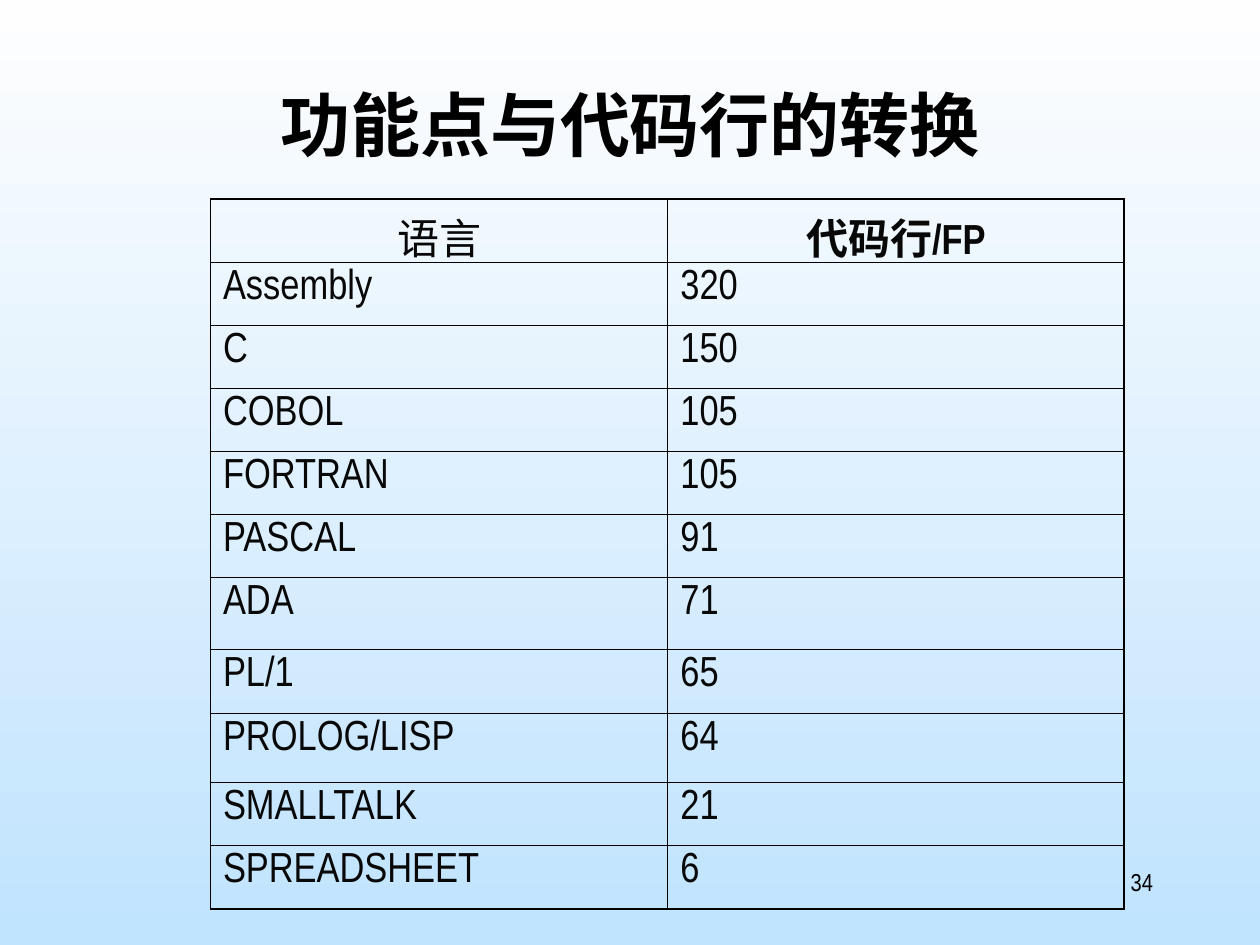
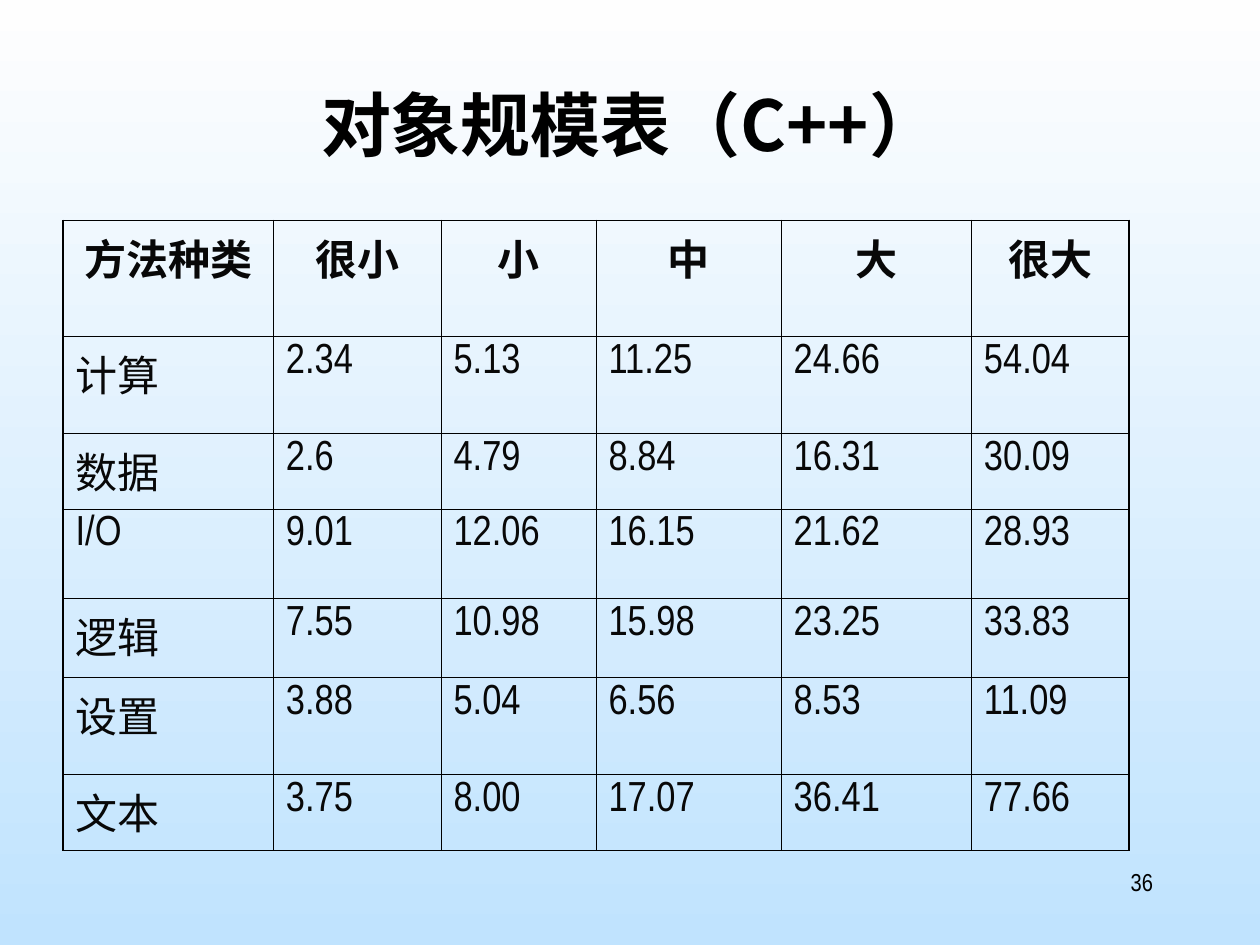
from lxml.etree import SubElement
from pptx import Presentation
from pptx.dml.color import RGBColor
from pptx.enum.text import MSO_ANCHOR, MSO_AUTO_SIZE, PP_ALIGN
from pptx.oxml.ns import qn
from pptx.util import Inches, Pt

COLORS = {"top": "FEFEFE", "base": "C0E3FE", "ink": "000000", "cell": "080808"}
SANS = "Noto Sans CJK SC"
NARROW = "Arial Narrow"
THIN, THICK = 0.45, 1.08

STYLES = {
    "title": {"name": SANS, "size": Pt(40), "bold": True, "color": "ink"},
    "plain": {"name": SANS, "size": Pt(24), "bold": False, "color": "cell"},
    "head": {"name": NARROW, "size": Pt(24), "bold": True, "color": "cell"},
    "body": {"name": NARROW, "size": Pt(24), "bold": False, "color": "cell"},
    "page": {"name": NARROW, "size": Pt(14), "bold": False, "color": "ink"},
}

LINES = [
    ("语言", "代码行/FP"),
    ("Assembly", "320"),
    ("C", "150"),
    ("COBOL", "105"),
    ("FORTRAN", "105"),
    ("PASCAL", "91"),
    ("ADA", "71"),
    ("PL/1", "65"),
    ("PROLOG/LISP", "64"),
    ("SMALLTALK", "21"),
    ("SPREADSHEET", "6"),
]

SIZES = [
    ("方法种类", "很小", "小", "中", "大", "很大"),
    ("计算", "2.34", "5.13", "11.25", "24.66", "54.04"),
    ("数据", "2.6", "4.79", "8.84", "16.31", "30.09"),
    ("I/O", "9.01", "12.06", "16.15", "21.62", "28.93"),
    ("逻辑", "7.55", "10.98", "15.98", "23.25", "33.83"),
    ("设置", "3.88", "5.04", "6.56", "8.53", "11.09"),
    ("文本", "3.75", "8.00", "17.07", "36.41", "77.66"),
]


def tint(key):
    return RGBColor.from_string(COLORS[key])


class Deck:
    def __init__(self):
        self.prs = Presentation()
        self.prs.slide_width = Inches(10)
        self.prs.slide_height = Inches(7.5)
        fill = self.prs.slide_master.background.fill
        fill.gradient()
        fill.gradient_angle = 270
        for stop, key in zip(fill.gradient_stops, ("top", "base")):
            stop.color.rgb = tint(key)
        self.slide = None

    def label(self, frame, text, style, align):
        frame.word_wrap = True
        para = frame.paragraphs[0]
        para.alignment = align
        run = para.add_run()
        run.text = text
        for key, value in STYLES[style].items():
            if key == "color":
                run.font.color.rgb = tint(value)
            else:
                setattr(run.font, key, value)
        SubElement(run._r.get_or_add_rPr(), qn("a:ea"), typeface=SANS)
        return para

    def page(self, title, number):
        self.slide = self.prs.slides.add_slide(self.prs.slide_layouts[5])
        shape = self.slide.shapes.title
        shape.left, shape.top = Inches(0.75), Inches(0.67)
        shape.width, shape.height = Inches(8.5), Inches(1.25)
        frame = shape.text_frame
        frame.auto_size = MSO_AUTO_SIZE.NONE
        frame.vertical_anchor = MSO_ANCHOR.TOP
        para = self.label(frame, title, "title", PP_ALIGN.CENTER)
        para.line_spacing = 0.9
        box = self.slide.shapes.add_textbox(
            Inches(7.17), Inches(6.83), Inches(2.08), Inches(0.5))
        self.label(box.text_frame, number, "page", PP_ALIGN.RIGHT)

    def edge(self, cell, side, width):
        props = cell._tc.get_or_add_tcPr()
        line = SubElement(props, qn(f"a:ln{side}"), w=str(Pt(width)))
        solid = SubElement(line, qn("a:solidFill"))
        SubElement(solid, qn("a:srgbClr"), val=COLORS["ink"])

    def table(self, left, top, widths, heights, data, first="head"):
        grid = self.slide.shapes.add_table(
            len(heights), len(widths), Inches(left), Inches(top),
            Inches(sum(widths)), Inches(sum(heights))).table
        grid.first_row = grid.horz_banding = False
        for col, width in zip(grid.columns, widths):
            col.width = Inches(width)
        for row, height in zip(grid.rows, heights):
            row.height = Inches(height)
        for r, texts in enumerate(data):
            for c, text in enumerate(texts):
                cell = grid.cell(r, c)
                style = "body" if r else "head" if c else first
                align = PP_ALIGN.LEFT if r else PP_ALIGN.CENTER
                para = self.label(cell.text_frame, text, style, align)
                para.space_before = Pt(6)
                outer = {"L": c == 0, "R": c == len(widths) - 1,
                         "T": r == 0, "B": r == len(heights) - 1}
                for side, thick in outer.items():
                    self.edge(cell, side, THICK if thick else THIN)
                cell.fill.background()


def main():
    deck = Deck()
    deck.page("功能点与代码行的转换", "34")
    deck.table(1.67, 1.58, [3.63, 3.62],
               [0.5] * 6 + [0.57, 0.51, 0.55, 0.5, 0.5], LINES, "plain")
    deck.page("对象规模表（C++）", "36")
    deck.table(0.5, 1.75, [1.67, 1.33, 1.23, 1.47, 1.51, 1.25],
               [0.92, 0.77, 0.6, 0.71, 0.63, 0.77, 0.6], SIZES)
    deck.prs.save("out.pptx")


if __name__ == "__main__":
    main()
